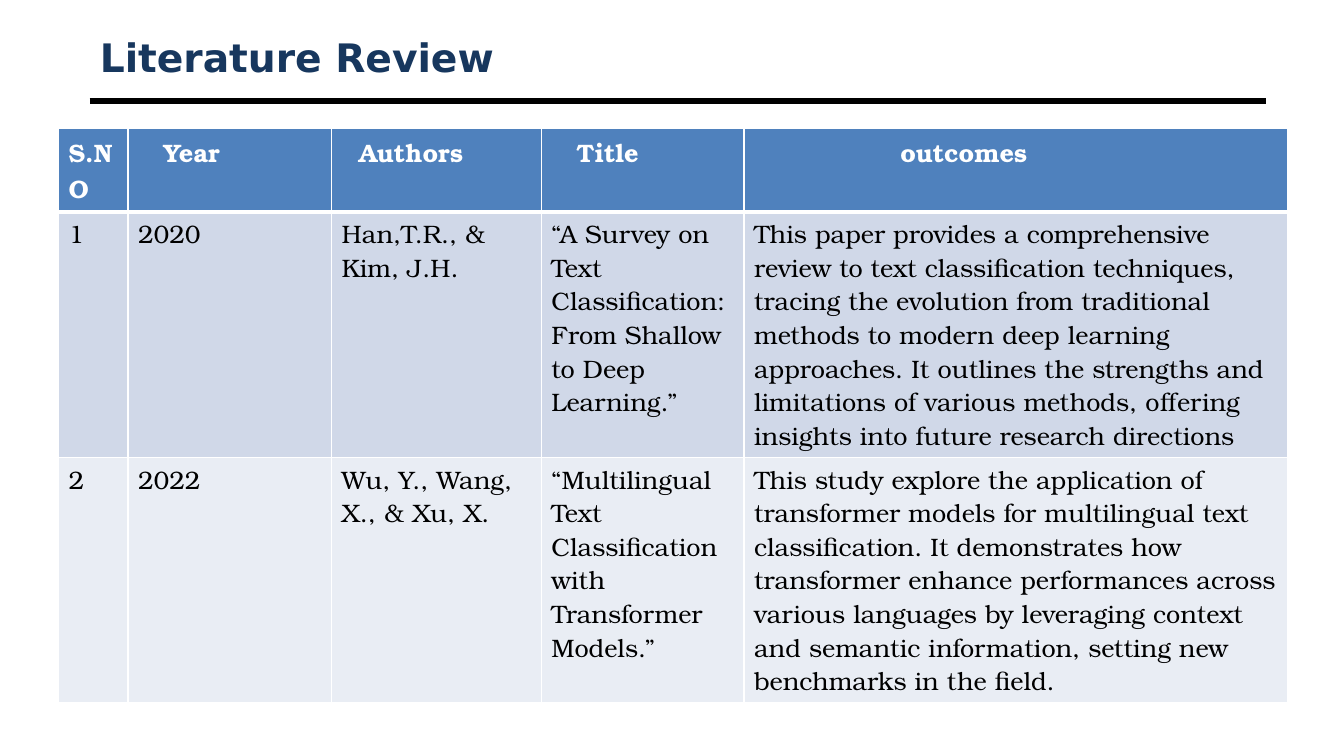
from dataclasses import dataclass

from lxml.etree import SubElement
from pptx import Presentation
from pptx.dml.color import RGBColor
from pptx.enum.shapes import MSO_CONNECTOR
from pptx.enum.text import MSO_ANCHOR, PP_ALIGN
from pptx.oxml.ns import qn
from pptx.util import Inches, Pt

WHITE = RGBColor(0xFF, 0xFF, 0xFF)
BLACK = RGBColor(0, 0, 0)
NAVY = RGBColor(0x17, 0x37, 0x5E)
HEADER_BLUE = RGBColor(0x4F, 0x81, 0xBD)
BAND_DARK = RGBColor(0xD0, 0xD8, 0xE8)
BAND_LIGHT = RGBColor(0xE9, 0xED, 0xF4)

TITLE_FONT = "DejaVu Sans"
TABLE_FONT = "TeX Gyre Bonum"
CELL_MARGIN = 0.1


@dataclass
class Column:
    heading: str
    width: float
    indent: float


@dataclass
class Row:
    texts: list[str]
    height: float
    fill: RGBColor
    color: RGBColor = BLACK
    header: bool = False


COLUMNS = [
    Column("S.NO", 0.69, 0),
    Column("Year", 2.02, 0.25),
    Column("Authors", 2.08, 0.17),
    Column("Title", 2.01, 0.25),
    Column("outcomes", 5.39, 1.45),
]
ROWS = [
    Row([c.heading for c in COLUMNS], 0.72, HEADER_BLUE, WHITE, header=True),
    Row(["1", "2020", "Han,T.R., & Kim, J.H.",
         "“A Survey on Text Classification:From Shallow to Deep Learning.”",
         "This paper provides a comprehensive review to text classification "
         "techniques, tracing the evolution from traditional methods to modern "
         "deep learning approaches. It outlines the strengths and limitations of "
         "various methods, offering insights into future research directions"],
        2.27, BAND_DARK),
    Row(["2", "2022", "Wu, Y., Wang, X., & Xu, X.",
         "“Multilingual Text Classification with Transformer Models.”",
         "This study explore the application of transformer models for "
         "multilingual text classification. It demonstrates how transformer "
         "enhance performances across various languages by leveraging context "
         "and semantic information, setting new benchmarks in the field."],
        2.13, BAND_LIGHT),
]


def add_title(s, text: str) -> None:
    title = s.shapes.title
    title.left, title.top = Inches(0.89), Inches(0.3)
    title.width, title.height = Inches(11.67), Inches(0.53)
    tf = title.text_frame
    tf.text = text
    tf.vertical_anchor = MSO_ANCHOR.MIDDLE
    p = tf.paragraphs[0]
    p.alignment = PP_ALIGN.LEFT
    p.font.name, p.font.size, p.font.bold = TITLE_FONT, Pt(28), True
    p.font.color.rgb = NAVY


def add_rule(s) -> None:
    rule = s.shapes.add_connector(MSO_CONNECTOR.STRAIGHT, Inches(0.89), Inches(1),
                                  Inches(12.56), Inches(1))
    rule.line.color.rgb = BLACK
    rule.line.width = Pt(4.5)
    SubElement(rule._element.spPr, qn("a:effectLst"))


def set_borders(cell, top: float, bottom: float) -> None:
    """Give the cell white borders; widths are in points."""
    tc_pr = cell._tc.get_or_add_tcPr()
    for side, width in (("L", 1), ("R", 1), ("T", top), ("B", bottom)):
        ln = SubElement(tc_pr, qn(f"a:ln{side}"), w=str(Pt(width)))
        fill = SubElement(ln, qn("a:solidFill"))
        SubElement(fill, qn("a:srgbClr"), val=str(WHITE))


def fill_cell(cell, text: str, row: Row, indent: float, top: float) -> None:
    set_borders(cell, top, 3 if row.header else 1)
    cell.fill.solid()
    cell.fill.fore_color.rgb = row.fill
    cell.margin_left = Inches(CELL_MARGIN + indent)
    cell.text = text
    p = cell.text_frame.paragraphs[0]
    p.font.name, p.font.size, p.font.bold = TABLE_FONT, Pt(18), row.header
    p.font.color.rgb = row.color


def add_review_table(s) -> None:
    width = sum(c.width for c in COLUMNS)
    height = sum(r.height for r in ROWS)
    table = s.shapes.add_table(len(ROWS), len(COLUMNS), Inches(0.58), Inches(1.27),
                               Inches(width), Inches(height)).table
    for i, column in enumerate(COLUMNS):
        table.columns[i].width = Inches(column.width)
    for i, row in enumerate(ROWS):
        table.rows[i].height = Inches(row.height)
        for j, (text, column) in enumerate(zip(row.texts, COLUMNS)):
            fill_cell(table.cell(i, j), text, row,
                      indent=column.indent if row.header else 0,
                      top=3 if i == 1 else 1)


def main() -> None:
    prs = Presentation()
    prs.slide_width, prs.slide_height = Inches(13.33), Inches(7.5)
    s = prs.slides.add_slide(prs.slide_layouts[5])
    add_rule(s)
    add_title(s, "Literature Review")
    add_review_table(s)
    prs.save("out.pptx")


if __name__ == "__main__":
    main()
